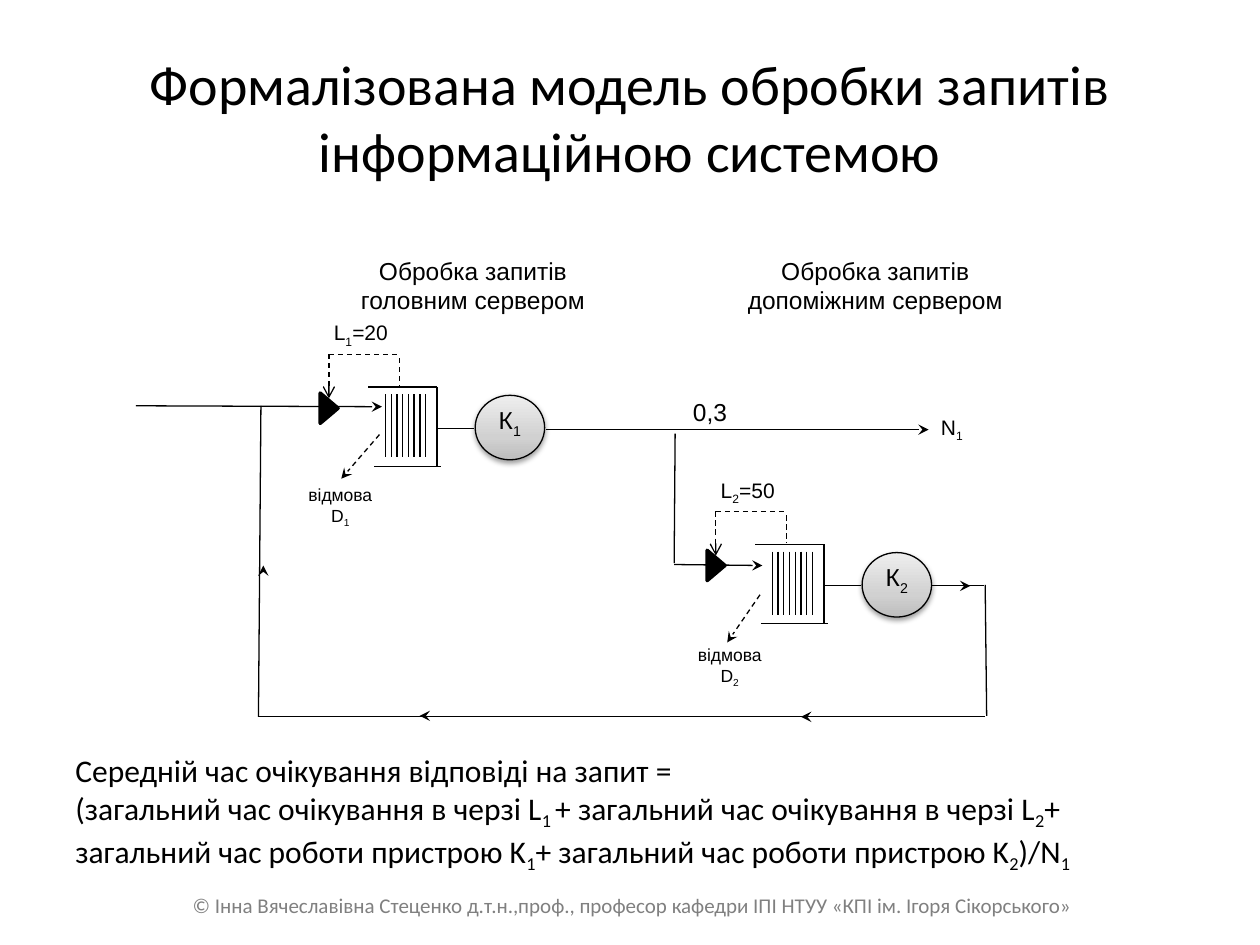
from copy import deepcopy

from lxml import etree
from pptx import Presentation
from pptx.dml.color import RGBColor
from pptx.enum.dml import MSO_LINE
from pptx.enum.shapes import MSO_CONNECTOR, MSO_SHAPE
from pptx.enum.text import MSO_ANCHOR, PP_ALIGN
from pptx.oxml.ns import qn
from pptx.util import Cm, Pt

BLACK = RGBColor(0x00, 0x00, 0x00)
WHITE = RGBColor(0xFF, 0xFF, 0xFF)
GRAY = RGBColor(0x80, 0x80, 0x80)
DEVICE_STOPS = [
    (0, RGBColor(0xBD, 0xBD, 0xBD)),
    (0.35, RGBColor(0xD1, 0xD1, 0xD1)),
    (1, RGBColor(0xEE, 0xEE, 0xEE)),
]
LEFT, CENTER = PP_ALIGN.LEFT, PP_ALIGN.CENTER
TOP, MIDDLE = MSO_ANCHOR.TOP, MSO_ANCHOR.MIDDLE
DASH = MSO_LINE.DASH
STRAIGHT = MSO_CONNECTOR.STRAIGHT
RECTANGLE, OVAL = MSO_SHAPE.RECTANGLE, MSO_SHAPE.OVAL
TRIANGLE = MSO_SHAPE.ISOSCELES_TRIANGLE

BAR_COUNT = 8
FLOW_LINES = [
    (2.74, 8.18, 7.7, 8.2, "stealth"),
    (11, 8.66, 18.72, 8.66, "stealth"),
    (13.61, 8.74, 13.59, 11.35, None),
    (13.59, 11.38, 15.37, 11.4, "stealth"),
    (18.72, 11.81, 19.84, 11.81, None),
    (19.86, 11.79, 19.89, 14.43, None),
    (5.26, 8.18, 5.21, 14.45, None),
    (5.21, 14.45, 19.86, 14.45, None),
    (19.33, 11.81, 19.56, 11.81, "stealth"),
    (16.31, 14.45, 16.15, 14.45, "stealth"),
    (8.64, 14.43, 8.46, 14.43, "stealth"),
    (5.31, 11.53, 5.31, 11.4, "stealth"),
]


def write_text(shape, paragraphs, size, font, color=BLACK, align=LEFT,
               subscript=-25, margins=True):
    frame = shape.text_frame
    frame.word_wrap = True
    frame.vertical_anchor = TOP
    if not margins:
        frame.margin_left = frame.margin_right = 0
        frame.margin_top = frame.margin_bottom = 0
    for number, text in enumerate(paragraphs):
        paragraph = frame.add_paragraph() if number else frame.paragraphs[0]
        paragraph.alignment = align
        for index, part in enumerate(text.split("_")):
            if not part:
                continue
            run = paragraph.add_run()
            run.text = part
            run.font.size = Pt(size)
            run.font.name = font
            run.font.color.rgb = color
            if index % 2:
                run._r.get_or_add_rPr().set("baseline", str(subscript * 1000))


def add_text(slide, box, paragraphs, size, **style):
    shape = slide.shapes.add_textbox(*map(Cm, box))
    write_text(shape, paragraphs, size, "Calibri", **style)


def add_solid(slide, kind, box, color, width=0.75):
    shape = slide.shapes.add_shape(kind, *map(Cm, box))
    shape.shadow.inherit = False
    shape.fill.solid()
    shape.fill.fore_color.rgb = color
    shape.line.color.rgb = color
    shape.line.width = Pt(width)
    return shape


def add_label(slide, box, paragraphs, size, **style):
    shape = add_solid(slide, RECTANGLE, box, WHITE)
    write_text(shape, paragraphs, size, "Arial", **style)


def add_line(slide, x1, y1, x2, y2, arrow=None, dash=None):
    line = slide.shapes.add_connector(STRAIGHT, Cm(x1), Cm(y1), Cm(x2), Cm(y2))
    line.line.color.rgb = BLACK
    line.line.width = Pt(0.75)
    if dash:
        line.line.dash_style = dash
    properties = line._element.spPr
    if arrow:
        outline = properties.find(qn("a:ln"))
        etree.SubElement(outline, qn("a:tailEnd"), type=arrow)
    etree.SubElement(properties, qn("a:effectLst"))


def add_device(slide, box, text):
    device = slide.shapes.add_shape(OVAL, *map(Cm, box))
    device.line.color.rgb = BLACK
    device.line.width = Pt(0.75)
    device.fill.gradient()
    device.fill.gradient_angle = 90
    properties = device._element.spPr
    stop_list = properties.find(".//" + qn("a:gsLst"))
    stop_list.insert(1, deepcopy(stop_list[0]))
    for stop, (position, color) in zip(device.fill.gradient_stops, DEVICE_STOPS):
        stop.position = position
        stop.color.rgb = color
    effects = etree.SubElement(properties, qn("a:effectLst"))
    shadow = etree.SubElement(
        effects, qn("a:outerShdw"), blurRad=str(Pt(3.1)), dist=str(Pt(1.6)),
        dir="5400000", rotWithShape="0")
    shade = etree.SubElement(shadow, qn("a:srgbClr"), val=str(BLACK))
    etree.SubElement(shade, qn("a:alpha"), val="38000")
    write_text(device, [text], 14, "Arial", align=CENTER, subscript=-30,
               margins=False)


def add_server(slide, x, y, number, limit, refusal_line, refusal_box):
    def line(x1, y1, x2, y2, **style):
        add_line(slide, x + x1, y + y1, x + x2, y + y2, **style)

    add_label(slide, (x + 0.1, y - 0.69, 1.14, 0.41),
              [f"L_{number}_={limit}"], 12, margins=False)
    add_label(slide, refusal_box, ["відмова", f"D_{number}"], 10, align=CENTER)
    add_line(slide, *refusal_line, arrow="stealth", dash=DASH)

    for index in range(BAR_COUNT):
        bar = 1.14 + 0.81 * index / (BAR_COUNT - 1)
        line(bar, 0.81, bar, 2.08)
    line(0.91, 2.26, 2.26, 2.26)
    line(0.79, 0.66, 2.18, 0.66)
    line(2.18, 0.66, 2.18, 2.26)
    line(2.18, 1.5, 2.92, 1.5)
    add_device(slide, (x + 2.95, y + 0.83, 1.4, 1.3), f"К_{number}")

    line(0, 0, 0, 0.89, arrow="arrow", dash=DASH)
    line(0, 0, 1.42, 0, dash=DASH)
    line(1.42, 0.08, 1.42, 0.64, dash=DASH)
    valve = add_solid(slide, TRIANGLE, (x - 0.3, y + 0.91, 0.61, 0.36), BLACK, 2)
    valve.rotation = 90


def add_title(slide, text):
    title = slide.shapes.title
    title.left, title.top, title.width, title.height = map(
        Cm, (1.27, 0.76, 22.86, 3.18))
    write_text(title, [text], 32, "Calibri", align=CENTER)
    title.text_frame.vertical_anchor = MIDDLE


def main():
    presentation = Presentation()
    presentation.slide_width = Cm(25.4)
    presentation.slide_height = Cm(19.05)
    slide = presentation.slides.add_slide(presentation.slide_layouts[5])
    add_title(slide, "Формалізована модель обробки запитів інформаційною системою")

    add_label(slide, (6.55, 5.03, 5.97, 1.37),
              ["Обробка запитів головним сервером"], 14, align=CENTER)
    add_label(slide, (14.66, 5.03, 5.97, 1.37),
              ["Обробка запитів допоміжним сервером"], 14, align=CENTER)
    for x1, y1, x2, y2, arrow in FLOW_LINES:
        add_line(slide, x1, y1, x2, y2, arrow)
    add_server(slide, 6.63, 7.14, 1, 20,
               (7.65, 8.76, 6.88, 9.65), (5.92, 9.63, 1.88, 1.07))
    add_server(slide, 14.43, 10.31, 2, 50,
               (15.32, 11.99, 14.66, 12.95), (13.77, 12.85, 1.88, 1.04))
    add_label(slide, (13.72, 7.87, 1.88, 0.69), ["0,3"], 14)
    add_label(slide, (18.97, 8.36, 0.81, 0.64), ["N_1"], 12, margins=False)

    add_text(slide, (1.27, 15.01, 22.86, 2.57), [
        "Середній час очікування відповіді на запит =",
        "(загальний час очікування в черзі L_1 _+ загальний час очікування "
        "в черзі L_2_+ загальний час роботи пристрою K_1_+ загальний час "
        "роботи пристрою K_2_)/N_1",
    ], 18)
    add_text(slide, (1.32, 17.86, 22.86, 0.76), [
        "© Інна Вячеславівна Стеценко д.т.н.,проф., професор кафедри ІПІ "
        "НТУУ «КПІ ім. Ігоря Сікорського»",
    ], 12, color=GRAY, align=CENTER)
    presentation.save("out.pptx")


if __name__ == "__main__":
    main()
